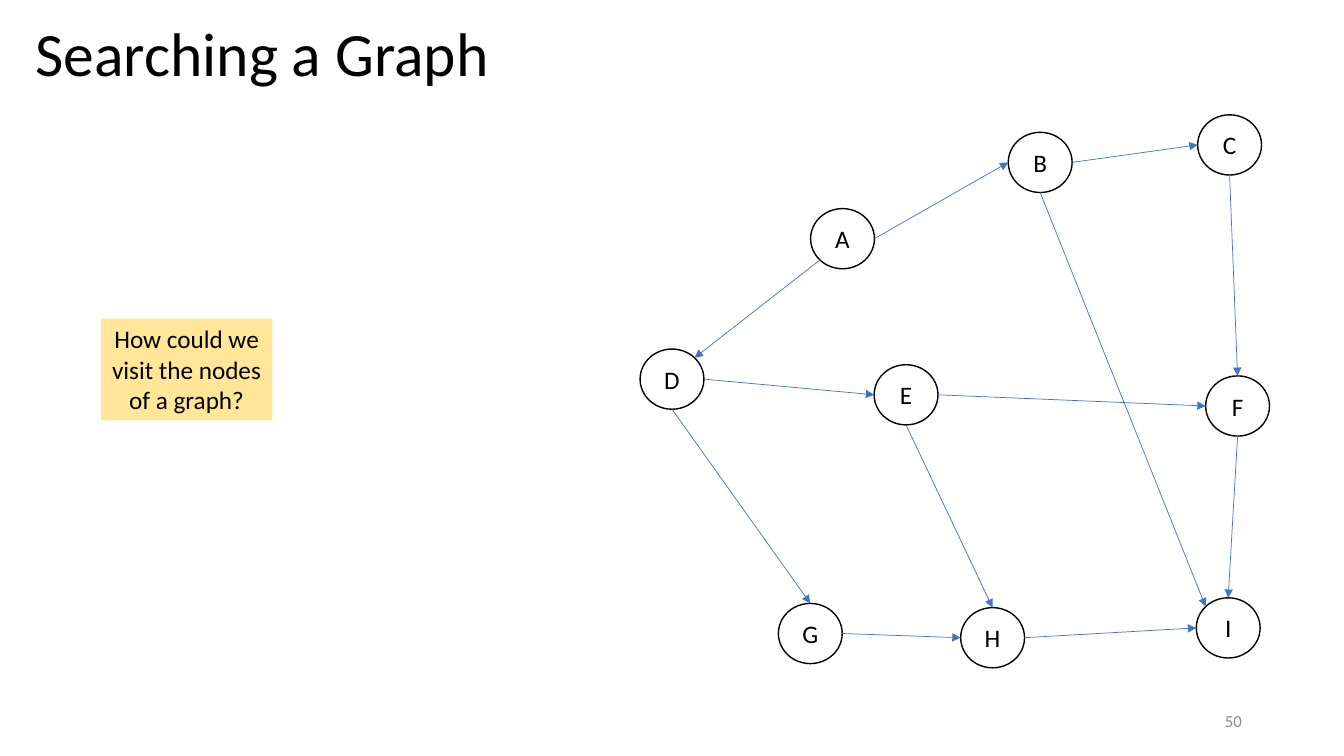
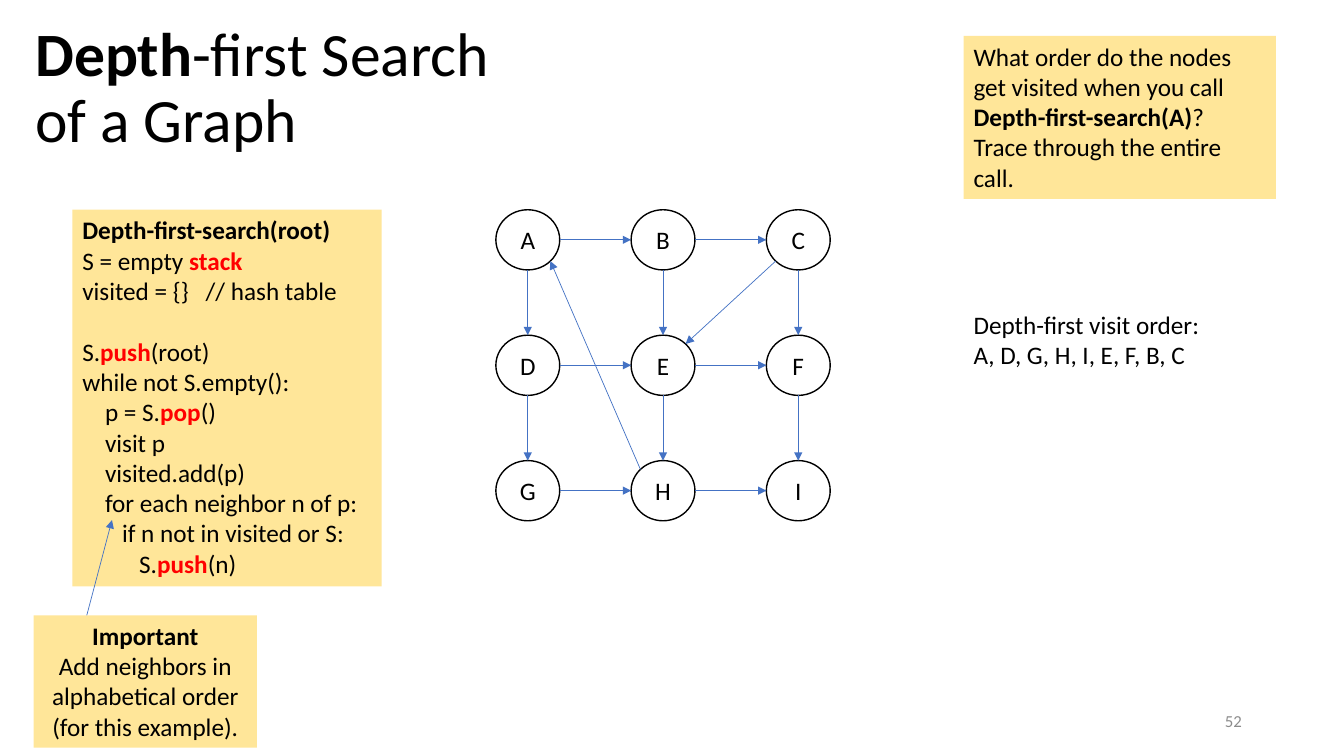
from math import cos, radians, sin

from lxml import etree
from pptx import Presentation
from pptx.dml.color import RGBColor
from pptx.enum.shapes import MSO_CONNECTOR, MSO_SHAPE
from pptx.enum.text import MSO_ANCHOR, MSO_AUTO_SIZE, PP_ALIGN
from pptx.oxml.ns import qn
from pptx.util import Pt

ELLIPSE, RECTANGLE = MSO_SHAPE.OVAL, MSO_SHAPE.RECTANGLE
STRAIGHT = MSO_CONNECTOR.STRAIGHT
LEFT, CENTER, RIGHT = PP_ALIGN.LEFT, PP_ALIGN.CENTER, PP_ALIGN.RIGHT
TOP, MIDDLE = MSO_ANCHOR.TOP, MSO_ANCHOR.MIDDLE
NO_AUTOFIT = MSO_AUTO_SIZE.NONE

BLACK = RGBColor(0x00, 0x00, 0x00)
GRAY = RGBColor(0x8C, 0x8C, 0x8C)
BLUE = RGBColor(0x44, 0x72, 0xC4)
RED = RGBColor(0xFF, 0x00, 0x00)
YELLOW = RGBColor(0xFF, 0xE6, 0x99)

FONT = "Calibri"
TITLE_ONLY = 5
TITLE_FRAME = (18, 13, 340, 104.4)
NUMBER_FRAME = (678.2, 500.5, 216, 28.8)
NODE_WIDTH, NODE_HEIGHT = 45.6, 43
SITES = ["top", "top left", "left", "bottom left",
         "bottom", "bottom right", "right", "top right"]

PLAIN, BOLD, KEYWORD = "plain", "bold", "keyword"


def plain(text):
    return [(text, PLAIN)]


def bold(text):
    return [(text, BOLD)]


SEARCH_NODES = {
    "A": (579, 149), "B": (720.2, 94.5), "C": (855.5, 82),
    "D": (457.2, 249.3), "E": (624.4, 260.5), "F": (861.2, 268.5),
    "G": (556, 431), "H": (686.2, 434), "I": (854.5, 427),
}
SEARCH_EDGES = {
    ("right", "left"): "AB BC DE EF GH HI",
    ("bottom", "top"): "CF DG EH FI",
    ("bottom left", "top right"): "AD",
    ("bottom", "top left"): "BI",
}

GRID_LEFT, GRID_TOP = 354.2, 149.8
COLUMN_STEP, ROW_STEP = 96.6, 89.6
GRID_ROWS = ["ABC", "DEF", "GHI"]
GRID_NODES = {
    name: (GRID_LEFT + column * COLUMN_STEP, GRID_TOP + row * ROW_STEP)
    for row, names in enumerate(GRID_ROWS)
    for column, name in enumerate(names)
}
GRID_EDGES = {
    ("right", "left"): "AB BC DE EF GH HI",
    ("bottom", "top"): "AD BE CF DG EH FI",
    ("bottom left", "top right"): "CE",
    ("top left", "bottom right"): "HA",
}

PSEUDOCODE = [
    bold("Depth-first-search(root)"),
    [("S = empty ", PLAIN), ("stack", KEYWORD)],
    plain("visited = {}   // hash table"),
    [("S.", PLAIN), ("push", KEYWORD), ("(root)", PLAIN)],
    plain("while not S.empty():"),
    [("    p = S.", PLAIN), ("pop", KEYWORD), ("()", PLAIN)],
    plain("    visit p"),
    plain("    visited.add(p)"),
    plain("    for each neighbor n of p:"),
    plain("       if n not in visited or S:"),
    [("          S.", PLAIN), ("push", KEYWORD), ("(n)", PLAIN)],
]
LOOP_SETUP_LINE = 3
CODE_LINE_HEIGHT = 22

SLIDES = [
    {
        "title": plain("Searching a Graph"),
        "number": "50",
        "nodes": SEARCH_NODES,
        "edges": SEARCH_EDGES,
        "boxes": [
            {"frame": (72, 227.6, 122.6, 72.7), "align": CENTER,
             "lines": [plain("How could we visit the nodes of a graph?")]},
        ],
        "pointers": [],
    },
    {
        "title": [("Depth", BOLD), ("-first Search of a Graph", PLAIN)],
        "number": "52",
        "nodes": GRID_NODES,
        "edges": GRID_EDGES,
        "boxes": [
            {"frame": (688.3, 25.7, 223, 116.4),
             "lines": [
                 [("What order do the nodes get visited when you call ", PLAIN),
                  ("Depth-first-search(A)", BOLD), ("?", PLAIN)],
                 plain("Trace through the entire call.")]},
            {"frame": (688.3, 217.2, 180.7, 51), "fill": None,
             "lines": [plain("Depth-first visit order:"),
                       plain("A, D, G, H, I, E, F, B, C")]},
            {"frame": (51.7, 149.8, 220.9, 269), "lines": PSEUDOCODE,
             "gaps": {LOOP_SETUP_LINE: CODE_LINE_HEIGHT}},
            {"frame": (24, 439.5, 159.5, 94.5), "align": CENTER,
             "lines": [
                 bold("Important"),
                 plain("Add neighbors in alphabetical order (for this example).")]},
        ],
        "pointers": [((62, 439.5), (80, 371.5))],
    },
]


def points(values):
    return [Pt(value) for value in values]


def write_lines(text_frame, lines, size, color=BLACK, align=LEFT, gaps=None):
    for index, runs in enumerate(lines):
        paragraph = (text_frame.add_paragraph() if index
                     else text_frame.paragraphs[0])
        paragraph.alignment = align
        if gaps and index in gaps:
            paragraph.space_before = Pt(gaps[index])
        paragraph.font.name = FONT
        paragraph.font.size = Pt(size)
        paragraph.font.color.rgb = color
        for text, style in runs:
            run = paragraph.add_run()
            run.text = text
            if style != PLAIN:
                run.font.bold = True
            if style == KEYWORD:
                run.font.color.rgb = RED


def add_title(slide, runs):
    title = slide.shapes.title
    title.left, title.top, title.width, title.height = points(TITLE_FRAME)
    text_frame = title.text_frame
    text_frame.auto_size = NO_AUTOFIT
    text_frame.vertical_anchor = TOP
    write_lines(text_frame, [runs], 44)
    text_frame.paragraphs[0].line_spacing = 0.9


def add_number(slide, number):
    text_frame = slide.shapes.add_textbox(*points(NUMBER_FRAME)).text_frame
    text_frame.word_wrap = True
    text_frame.vertical_anchor = MIDDLE
    write_lines(text_frame, [plain(number)], 12, GRAY, RIGHT)


def add_box(slide, frame, lines, fill=YELLOW, align=LEFT, gaps=None):
    if fill is None:
        shape = slide.shapes.add_textbox(*points(frame))
    else:
        shape = slide.shapes.add_shape(RECTANGLE, *points(frame))
        shape.shadow.inherit = False
        shape.fill.solid()
        shape.fill.fore_color.rgb = fill
        shape.line.fill.background()
    text_frame = shape.text_frame
    text_frame.word_wrap = fill is not None
    text_frame.vertical_anchor = TOP
    write_lines(text_frame, lines, 18, align=align, gaps=gaps)


def add_node(slide, name, position):
    node = slide.shapes.add_shape(
        ELLIPSE, *points((*position, NODE_WIDTH, NODE_HEIGHT)))
    node.shadow.inherit = False
    node.fill.background()
    node.line.color.rgb = BLACK
    node.line.width = Pt(1)
    text_frame = node.text_frame
    text_frame.margin_left = text_frame.margin_right = 0
    text_frame.margin_top = text_frame.margin_bottom = 0
    text_frame.vertical_anchor = MIDDLE
    write_lines(text_frame, [plain(name)], 18, align=CENTER)
    return node


def add_arrow(slide, start, end):
    arrow = slide.shapes.add_connector(STRAIGHT, *points((*start, *end)))
    arrow.line.color.rgb = BLUE
    arrow.line.width = Pt(0.5)
    etree.SubElement(arrow.line._get_or_add_ln(), qn("a:tailEnd"),
                     type="triangle")
    etree.SubElement(arrow._element.spPr, qn("a:effectLst"))
    return arrow


def site_point(position, site):
    angle = radians(45 * SITES.index(site))
    left, top = position
    return (left + NODE_WIDTH / 2 * (1 - sin(angle)),
            top + NODE_HEIGHT / 2 * (1 - cos(angle)))


def add_graph(slide, positions, edges):
    nodes = {name: add_node(slide, name, position)
             for name, position in positions.items()}
    for sites, pairs in edges.items():
        for pair in pairs.split():
            ends = list(zip(pair, sites))
            arrow = add_arrow(slide, *(site_point(positions[name], site)
                                       for name, site in ends))
            links = arrow._element.nvCxnSpPr.cNvCxnSpPr
            for tag, (name, site) in zip(("a:stCxn", "a:endCxn"), ends):
                etree.SubElement(links, qn(tag), id=str(nodes[name].shape_id),
                                 idx=str(SITES.index(site)))


def main():
    presentation = Presentation()
    presentation.slide_width, presentation.slide_height = Pt(960), Pt(540)
    for content in SLIDES:
        slide = presentation.slides.add_slide(
            presentation.slide_layouts[TITLE_ONLY])
        add_title(slide, content["title"])
        add_number(slide, content["number"])
        add_graph(slide, content["nodes"], content["edges"])
        for box in content["boxes"]:
            add_box(slide, **box)
        for start, end in content["pointers"]:
            add_arrow(slide, start, end)
    presentation.save("out.pptx")


if __name__ == "__main__":
    main()
